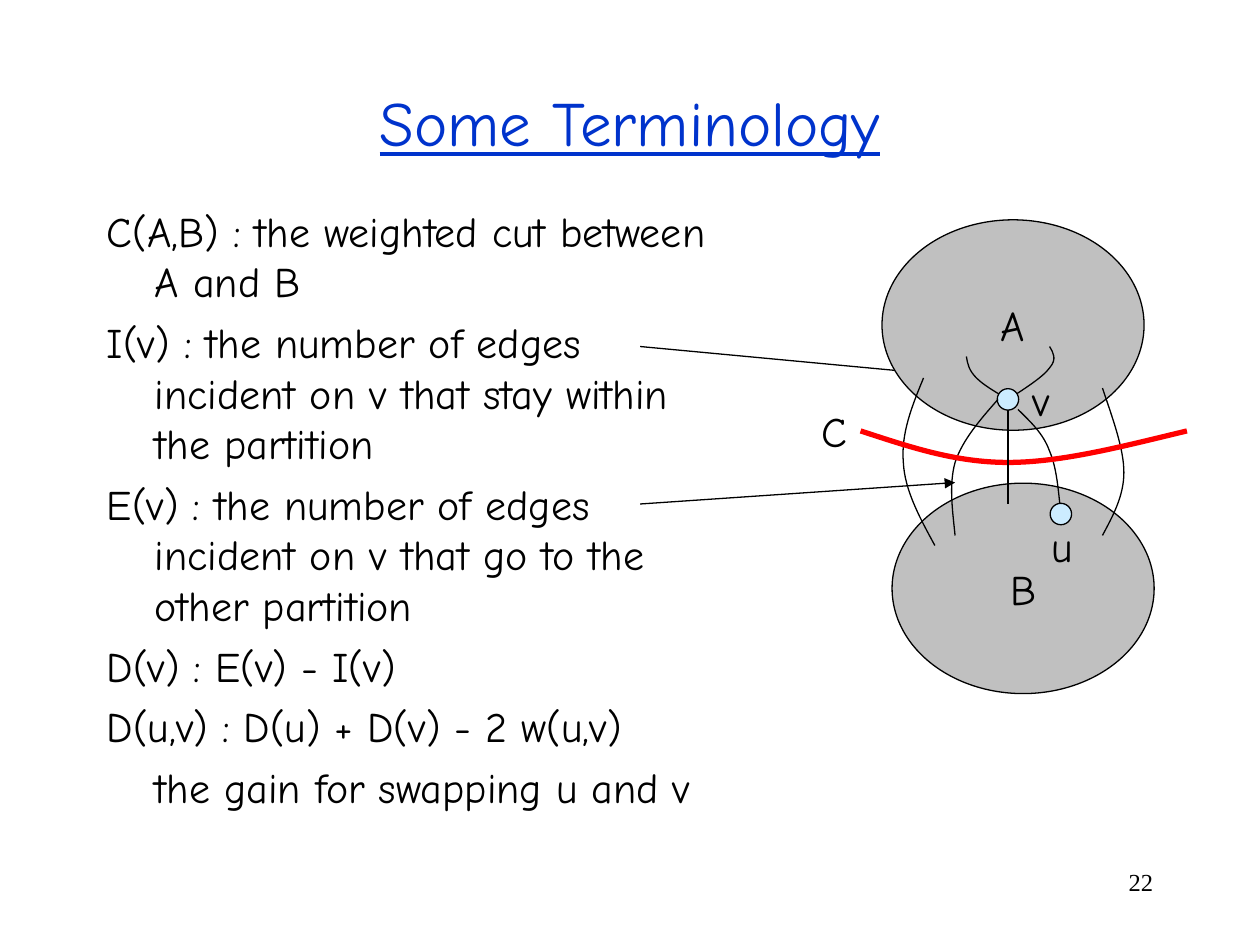
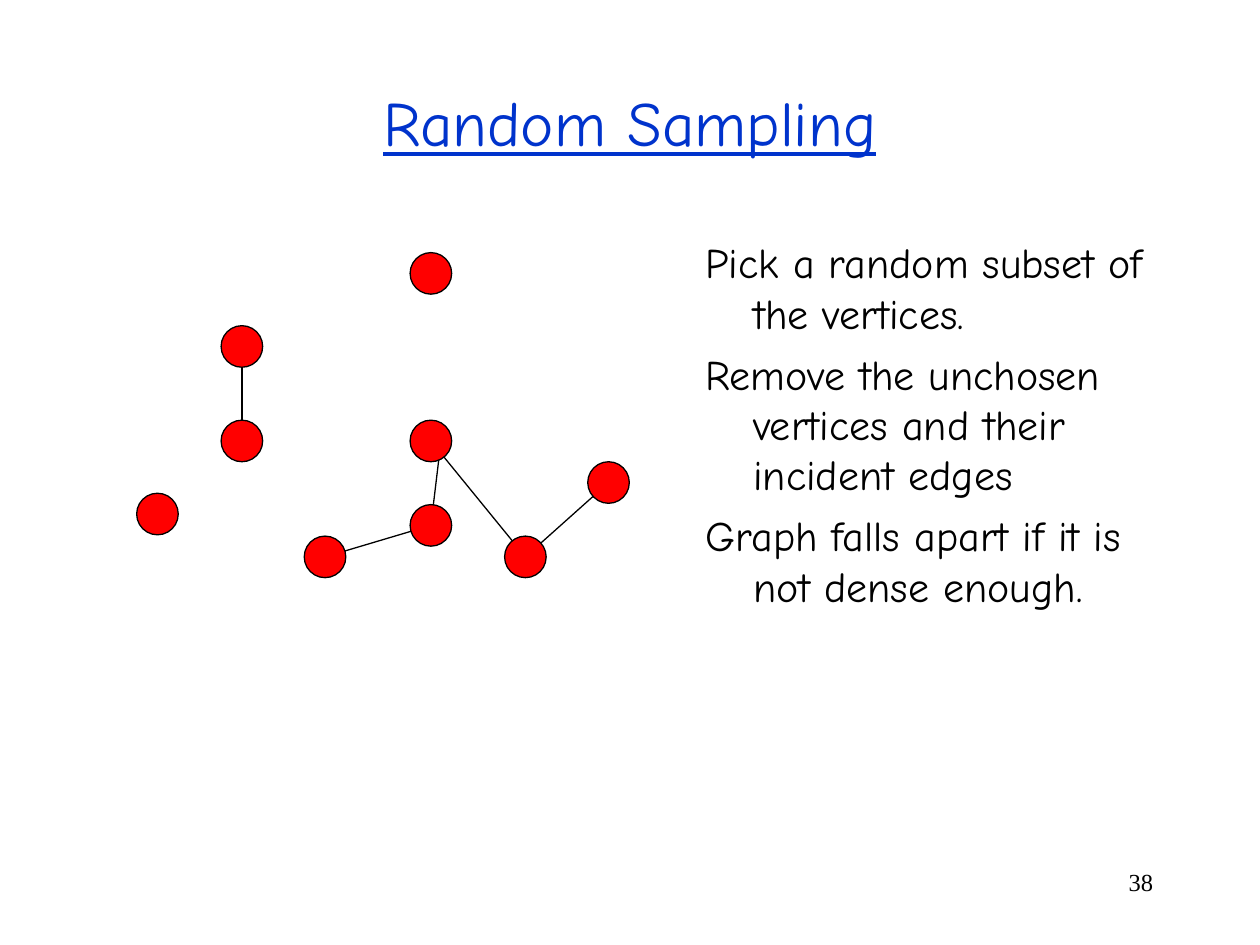
from dataclasses import dataclass

from lxml import etree
from pptx import Presentation
from pptx.dml.color import RGBColor
from pptx.enum.shapes import MSO_CONNECTOR, MSO_SHAPE
from pptx.enum.text import MSO_ANCHOR, MSO_AUTO_SIZE, PP_ALIGN
from pptx.oxml.ns import qn
from pptx.util import Inches, Pt

STRAIGHT = MSO_CONNECTOR.STRAIGHT
ELLIPSE = MSO_SHAPE.OVAL
MIDDLE = MSO_ANCHOR.MIDDLE
NO_FIT, GROW = MSO_AUTO_SIZE.NONE, MSO_AUTO_SIZE.SHAPE_TO_FIT_TEXT
LEFT, CENTER, RIGHT = PP_ALIGN.LEFT, PP_ALIGN.CENTER, PP_ALIGN.RIGHT


@dataclass(frozen=True)
class Theme:
    """Fonts, colours and sizes shared by the slides."""

    font: str = "Comic Neue"
    number_font: str = "Times New Roman"
    title: str = "0033CC"
    ink: str = "000000"
    partition: str = "C0C0C0"
    node: str = "CCECFF"
    red: str = "FF0000"
    title_size: float = 36
    text_size: float = 24
    number_size: float = 14
    thin: float = 0.75
    thick: float = 3
    hang: float = 0.38


THEME = Theme()


def rgb(value):
    """Return the colour for a hex string."""
    return RGBColor.from_string(value)


def inches(*values):
    """Convert several lengths to EMU."""
    return [Inches(v) for v in values]


def style(p, align=LEFT, size=THEME.text_size, color=THEME.ink, font=THEME.font):
    """Set alignment and font of a paragraph."""
    p.alignment = align
    p.font.name, p.font.size = font, Pt(size)
    p.font.color.rgb = rgb(color)


def set_line(line, color=THEME.ink, width=THEME.thin):
    """Set colour and width of a line."""
    line.color.rgb, line.width = rgb(color), Pt(width)


def add_titled_slide(prs, title, number):
    """Add a slide with its underlined title and its number."""
    s = prs.slides.add_slide(prs.slide_layouts[5])
    sp = s.shapes.title
    sp.left, sp.top, sp.width, sp.height = inches(0.75, 0.5, 8.5, 0.92)
    tf = sp.text_frame
    tf.text = title
    tf.vertical_anchor, tf.auto_size = MIDDLE, NO_FIT
    p = tf.paragraphs[0]
    style(p, CENTER, THEME.title_size, THEME.title)
    p.font.underline = True
    tf = s.shapes.add_textbox(*inches(7.17, 6.83, 2.08, 0.5)).text_frame
    tf.word_wrap = True
    tf.text = number
    style(tf.paragraphs[0], RIGHT, THEME.number_size, font=THEME.number_font)
    return s


def add_body(s, box, items, continuation=None):
    """Add hanging paragraphs and an optional fully indented last one."""
    tf = s.shapes.add_textbox(*inches(*box)).text_frame
    tf.word_wrap = True
    lines = items + ([continuation] if continuation else [])
    tf.text = "\n".join(lines)
    for p, text in zip(tf.paragraphs, lines):
        style(p)
        p.space_before = Pt(6)
        pPr = p._p.get_or_add_pPr()
        indent = 0 if text == continuation else -Inches(THEME.hang)
        pPr.set("marL", str(Inches(THEME.hang)))
        pPr.set("indent", str(indent))


def add_label(s, text, left, top, width):
    """Add a short unwrapped label."""
    tf = s.shapes.add_textbox(*inches(left, top, width, 0.5)).text_frame
    tf.word_wrap, tf.auto_size = False, GROW
    tf.text = text
    style(tf.paragraphs[0])


def add_ellipse(shapes, center, size, fill, text=None):
    """Add an outlined ellipse around a centre."""
    (x, y), (w, h) = center, size
    sp = shapes.add_shape(ELLIPSE, *inches(x - w / 2, y - h / 2, w, h))
    sp.shadow.inherit = False
    sp.fill.solid()
    sp.fill.fore_color.rgb = rgb(fill)
    set_line(sp.line)
    if text:
        tf = sp.text_frame
        tf.word_wrap, tf.vertical_anchor = False, MIDDLE
        tf.text = text
        style(tf.paragraphs[0], CENTER)


def add_line(s, start, end, arrow=False):
    """Add a straight line, with an arrowhead at its end if asked."""
    sp = s.shapes.add_connector(STRAIGHT, *inches(*start, *end))
    set_line(sp.line)
    if arrow:
        etree.SubElement(sp.line._get_or_add_ln(), qn("a:tailEnd"), type="triangle")
    etree.SubElement(sp._element.spPr, qn("a:effectLst"))


def add_curve(s, points, color=THEME.ink, width=THEME.thin):
    """Add a Bezier curve: a start, then two controls and an end per piece."""
    start, *rest = [inches(*point) for point in points]
    builder = s.shapes.build_freeform(*start)
    builder.add_line_segments(rest, close=False)
    sp = builder.convert_to_shape()
    sp.shadow.inherit = False
    sp.fill.background()
    set_line(sp.line, color, width)
    outline = sp._element.find(".//" + qn("a:path"))
    segments = outline.findall(qn("a:lnTo"))
    for i in range(0, len(segments), 3):
        piece = etree.SubElement(outline, qn("a:cubicBezTo"))
        for segment in segments[i:i + 3]:
            piece.append(segment[0])
            outline.remove(segment)


def build_terminology(prs):
    """Build the definitions next to the two partitions and their cut."""
    s = add_titled_slide(prs, "Some Terminology", "22")
    add_body(s, (0.75, 1.58, 5.08, 5.08), [
        "C(A,B) : the weighted cut between A and B",
        "I(v) : the number of edges incident on v that stay within the partition",
        "E(v) : the number of edges incident on v that go to the other partition",
        "D(v) : E(v) - I(v)",
        "D(u,v) : D(u) + D(v) - 2 w(u,v)",
    ], "the gain for swapping u and v")
    add_line(s, (5.08, 2.75), (7.75, 3), arrow=True)
    add_line(s, (5.08, 4), (7.58, 3.83), arrow=True)

    partition, node = (2.08, 1.67), (0.17, 0.17)
    inner_edges = [
        [(8, 3.17), (7.9, 3.11), (7.81, 3.06), (7.75, 3),
         (7.69, 2.94), (7.68, 2.89), (7.67, 2.83)],
        [(8, 3.17), (8.14, 3.08), (8.28, 2.99), (8.33, 2.92),
         (8.39, 2.85), (8.36, 2.8), (8.33, 2.75)],
    ]
    crossing_edges = [
        [(7.92, 3.17), (7.78, 3.33), (7.64, 3.49), (7.58, 3.67),
         (7.53, 3.85), (7.56, 4.05), (7.58, 4.25)],
        [(8.08, 3.25), (8.18, 3.35), (8.28, 3.44), (8.33, 3.58),
         (8.39, 3.72), (8.4, 3.9), (8.42, 4.08)],
        [(8.75, 3.08), (8.83, 3.32), (8.92, 3.56), (8.92, 3.75),
         (8.92, 3.94), (8.83, 4.1), (8.75, 4.25)],
        [(7.33, 3), (7.24, 3.22), (7.15, 3.44), (7.17, 3.67),
         (7.18, 3.89), (7.3, 4.11), (7.42, 4.33)],
    ]
    cut = [(6.83, 3.42), (7.2, 3.54), (7.57, 3.67), (8, 3.67),
           (8.43, 3.67), (8.92, 3.54), (9.42, 3.42)]

    add_ellipse(s.shapes, (8.04, 2.58), partition, THEME.partition, "A")
    for edge in inner_edges:
        add_curve(s, edge)
    add_ellipse(s.shapes, (8.12, 4.67), partition, THEME.partition, "B")
    add_label(s, "C", 6.42, 3.17, 0.4)
    add_label(s, "v", 8.1, 2.92, 0.34)
    add_ellipse(s.shapes, (8, 3.17), node, THEME.node)
    for edge in crossing_edges:
        add_curve(s, edge)
    add_curve(s, cut, THEME.red, THEME.thick)
    add_line(s, (8, 3.25), (8, 4))
    add_ellipse(s.shapes, (8.42, 4.08), node, THEME.node)
    add_label(s, "u", 8.25, 4.08, 0.37)


def build_sampling(prs):
    """Build the sampled graph next to its explanation."""
    s = add_titled_slide(prs, "Random Sampling", "38")
    add_body(s, (5.5, 1.83, 3.75, 4.83), [
        "Pick a random subset of the vertices.",
        "Remove the unchosen vertices and their incident edges",
        "Graph falls apart if it is not dense enough.",
    ])
    low_left, hub, top = (2.58, 4.42), (3.42, 3.5), (3.42, 2.17)
    below_hub, upper, lower = (3.42, 4.17), (1.92, 2.75), (1.92, 3.5)
    low_right, right, far_left = (4.17, 4.42), (4.83, 3.83), (1.25, 4.08)
    vertices = [low_left, hub, top, below_hub, upper, lower,
                low_right, right, far_left]
    edges = [(upper, lower), (right, low_right), (low_right, hub),
             (below_hub, (3.5, 3.5)), (low_left, below_hub)]
    for start, end in edges:
        add_line(s, start, end)
    graph = s.shapes.add_group_shape()
    for vertex in vertices:
        add_ellipse(graph.shapes, vertex, (0.33, 0.33), THEME.red)


def main():
    """Build and save the presentation."""
    prs = Presentation()
    prs.slide_width, prs.slide_height = inches(10, 7.5)
    build_terminology(prs)
    build_sampling(prs)
    prs.save("out.pptx")


if __name__ == "__main__":
    main()
